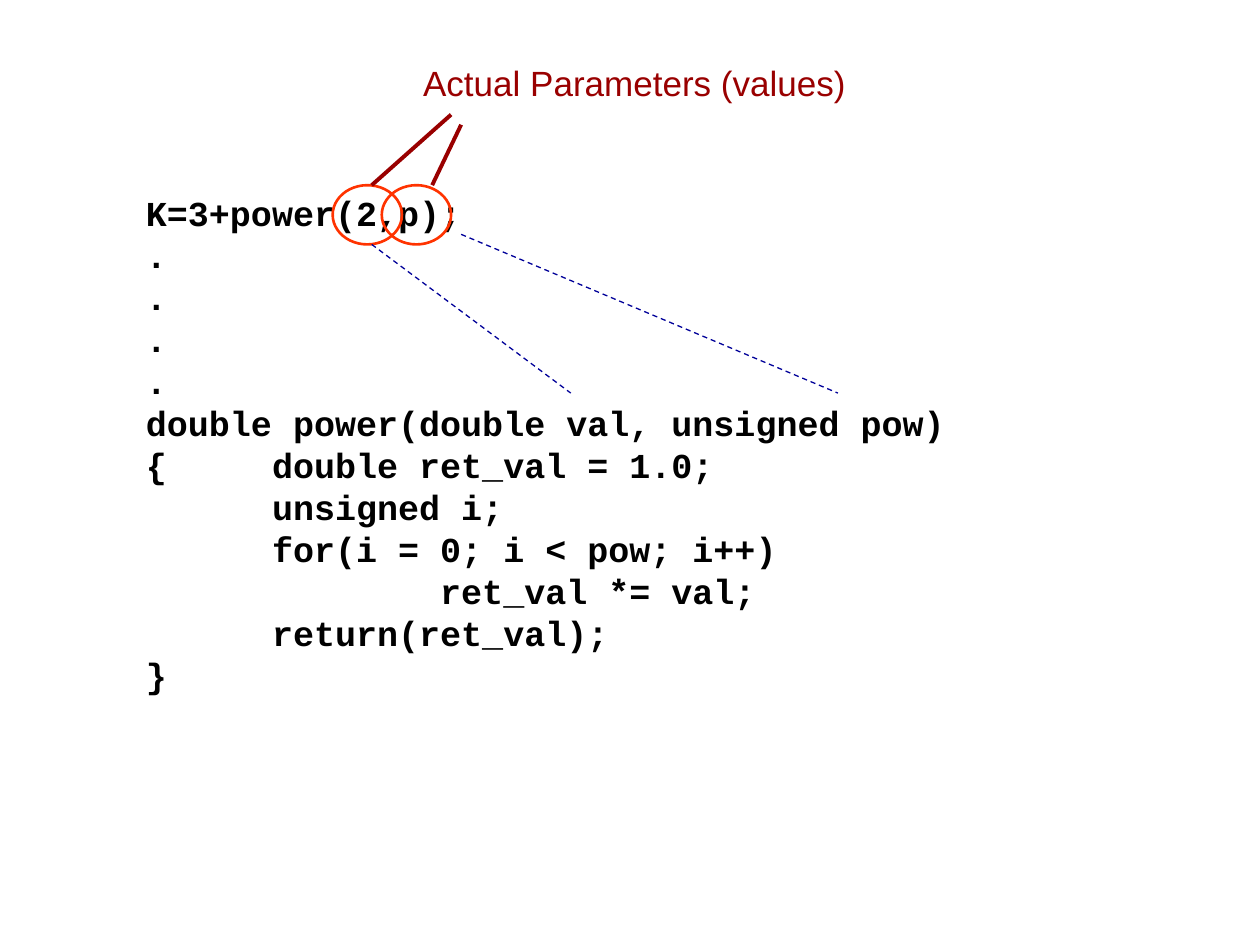
"""Build a slide linking actual parameters of a call to a function definition."""
from lxml.etree import SubElement
from pptx import Presentation
from pptx.dml.color import RGBColor
from pptx.enum.dml import MSO_LINE
from pptx.enum.shapes import MSO_CONNECTOR, MSO_SHAPE
from pptx.enum.text import MSO_AUTO_SIZE
from pptx.oxml.ns import qn
from pptx.util import Inches, Pt

BLACK = RGBColor(0x00, 0x00, 0x00)
ORANGE = RGBColor(0xFF, 0x33, 0x00)
NAVY = RGBColor(0x00, 0x00, 0x99)
MAROON = RGBColor(0x99, 0x00, 0x00)

LABEL = "Actual Parameters (values)"
CODE = """K=3+power(2,p);
.
.
.
.
double power(double val, unsigned pow)
{     double ret_val = 1.0;
      unsigned i;
      for(i = 0; i < pow; i++)
              ret_val *= val;
      return(ret_val);
}"""
ARGUMENT_LEFTS = [3.03, 2.64]
MATCH_LINES = [((3.66, 1.86), (6.65, 3.12)), ((2.95, 1.94), (4.53, 3.12))]
LABEL_LINES = [((2.95, 1.47), (3.58, 0.91)), ((3.43, 1.47), (3.66, 0.99))]


def add_text(s, text, box, font, color, bold=False):
    tf = s.shapes.add_textbox(*map(Inches, box)).text_frame
    tf.word_wrap = True
    tf.auto_size = MSO_AUTO_SIZE.SHAPE_TO_FIT_TEXT
    tf.text = text
    for p in tf.paragraphs:
        p.font.name = font
        p.font.size = Pt(20)
        p.font.bold = bold
        p.font.color.rgb = color


def add_line(s, start, end, color, width, dash=None):
    line = s.shapes.add_connector(MSO_CONNECTOR.STRAIGHT, *map(Inches, start + end))
    line.line.color.rgb = color
    line.line.width = Pt(width)
    if dash:
        line.line.dash_style = dash
    SubElement(line._element.spPr, qn("a:effectLst"))


def main():
    prs = Presentation()
    prs.slide_width, prs.slide_height = Inches(10), Inches(7.5)
    s = prs.slides.add_slide(prs.slide_layouts[6])

    add_text(s, CODE, (1.06, 1.47, 6.6, 4.1), "Courier New", BLACK, bold=True)
    for left in ARGUMENT_LEFTS:
        ring = s.shapes.add_shape(MSO_SHAPE.OVAL, *map(Inches, (left, 1.47, 0.55, 0.47)))
        ring.shadow.inherit = False
        ring.fill.background()
        ring.line.color.rgb = ORANGE
        ring.line.width = Pt(1.5)
    for start, end in MATCH_LINES:
        add_line(s, start, end, NAVY, 0.75, MSO_LINE.DASH)
    add_text(s, LABEL, (3.26, 0.44, 3.6, 0.44), "Arial", MAROON)
    for start, end in LABEL_LINES:
        add_line(s, start, end, MAROON, 2.25)

    prs.save("out.pptx")


if __name__ == "__main__":
    main()
